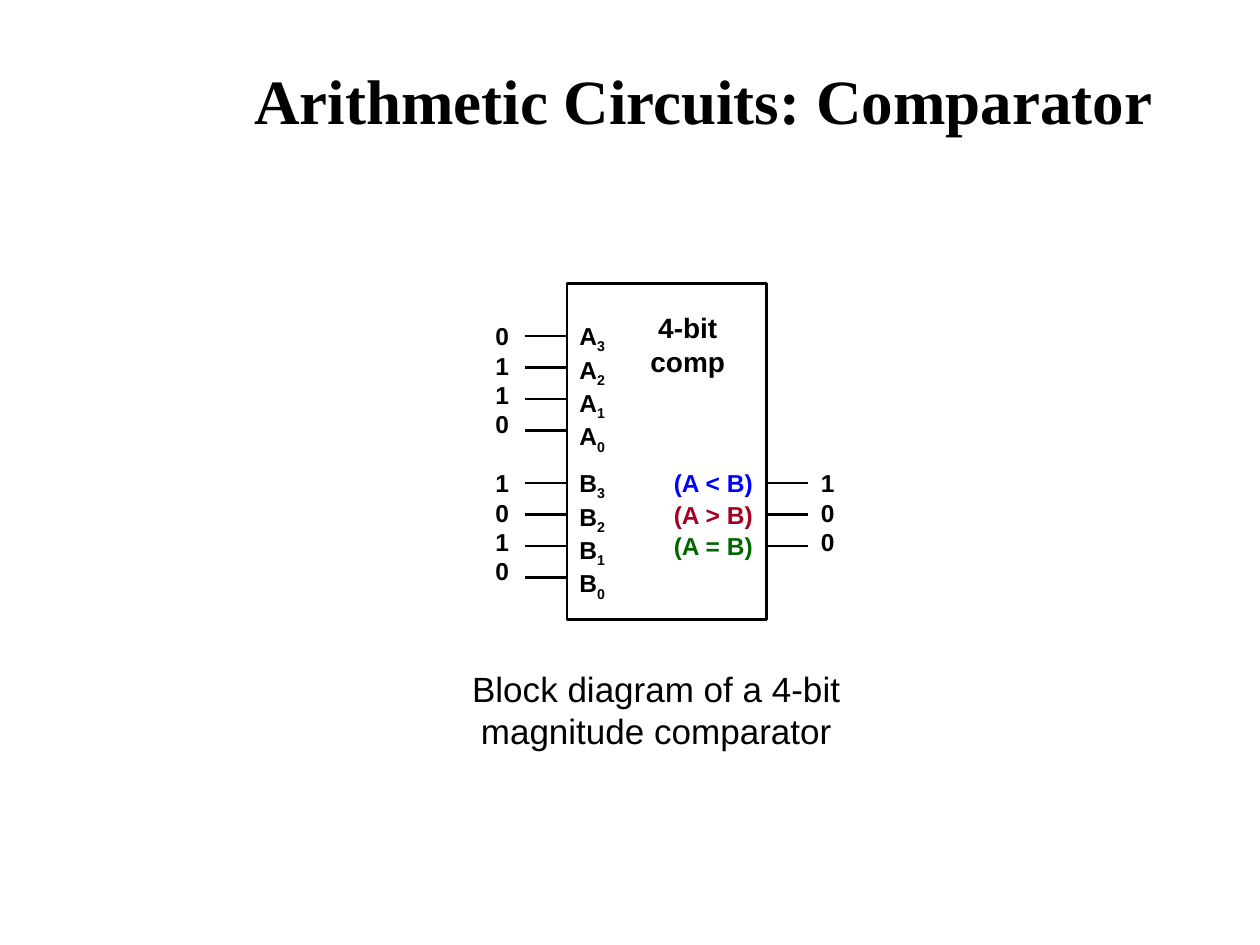
from lxml.etree import SubElement
from pptx import Presentation
from pptx.dml.color import RGBColor
from pptx.enum.shapes import MSO_CONNECTOR, MSO_SHAPE
from pptx.enum.text import MSO_ANCHOR, PP_ALIGN as Align
from pptx.oxml.ns import qn
from pptx.util import Emu, Pt

PX = 7620  # 120 px to the inch
COLORS = {"ink": "000000", "less": "0000FF", "greater": "A50021", "equal": "006600"}


def px(*lengths):
    return [Emu(length * PX) for length in lengths]


def write(frame, *lines, size=14, font="Arial", color="ink", bold=True,
          align=Align.LEFT, before=0):
    """Write one paragraph per line; what follows "_" is a subscript."""
    frame.word_wrap = True
    for index, line in enumerate(lines):
        paragraph = frame.paragraphs[0] if index == 0 else frame.add_paragraph()
        paragraph.alignment = align
        paragraph.space_before = Pt(before)
        for level, part in enumerate(line.split("_")):
            run = paragraph.add_run()
            run.text = part
            run.font.size, run.font.name, run.font.bold = Pt(size), font, bold
            run.font.color.rgb = RGBColor.from_string(COLORS[color])
            if level:
                run.font._element.set("baseline", "-25000")


class Diagram:
    """Holds the current slide and the style of its lines."""

    wire_width = Pt(1.25)
    box_width = Pt(1.5)
    line_color = RGBColor.from_string(COLORS["ink"])

    def __init__(self, slide):
        self.slide = slide
        self.shapes = slide.shapes

    def start_group(self):
        self.shapes = self.slide.shapes.add_group_shape().shapes

    def end_group(self):
        self.shapes = self.slide.shapes

    def title(self, text, left, top, width, height):
        title = self.slide.shapes.title
        title.left, title.top, title.width, title.height = px(left, top, width, height)
        title.text_frame.vertical_anchor = MSO_ANCHOR.MIDDLE
        write(title.text_frame, text, size=36, font="Times New Roman", align=Align.CENTER)

    def label(self, left, top, width, height, *lines, **style):
        label = self.shapes.add_textbox(*px(left, top, width, height))
        write(label.text_frame, *lines, **style)

    def box(self, left, top, width, height):
        box = self.shapes.add_shape(MSO_SHAPE.RECTANGLE, *px(left, top, width, height))
        box.shadow.inherit = False
        box.fill.background()
        box.line.color.rgb = self.line_color
        box.line.width = self.box_width

    def wires(self, left, top, count, length=40, pitch=30):
        for y in range(top, top + count * pitch, pitch):
            wire = self.shapes.add_connector(
                MSO_CONNECTOR.STRAIGHT, *px(left, y, left + length, y))
            wire.line.color.rgb = self.line_color
            wire.line.width = self.wire_width
            SubElement(wire._element.spPr, qn("a:effectLst"))


def main():
    deck = Presentation()
    deck.slide_width, deck.slide_height = px(1200, 900)
    diagram = Diagram(deck.slides.add_slide(deck.slide_layouts[5]))
    diagram.title("Arithmetic Circuits: Comparator", 160, 20, 1020, 150)

    # Comparator block
    diagram.start_group()
    diagram.box(540, 270, 190, 320)
    diagram.label(590, 290, 130, 77, "4-bit comp", size=16, align=Align.CENTER, before=10)

    # Inputs: bit values, wires and pin names
    for pin, bits, top in (("A", "0110", 300), ("B", "1010", 440)):
        diagram.label(460, top, 58, 125, *bits)
        diagram.wires(500, top + 20, len(bits))
        diagram.label(540, top, 58, 139, *(f"{pin}_{bit}" for bit in (3, 2, 1, 0)))

    # Outputs: relations, wires and bit values
    relations = (("(A < B)", "less"), ("(A > B)", "greater"), ("(A = B)", "equal"))
    for row, (relation, color) in enumerate(relations):
        diagram.label(630, 440 + 30 * row, 110, 41, relation, color=color, before=8.8)
    diagram.wires(730, 460, len(relations))
    diagram.label(770, 440, 58, 96, *"100")
    diagram.end_group()

    # Caption
    diagram.label(430, 630, 390, 92, "Block diagram of a 4-bit magnitude comparator",
                  size=20, bold=False, align=Align.CENTER, before=12.5)

    deck.save("out.pptx")


if __name__ == "__main__":
    main()
